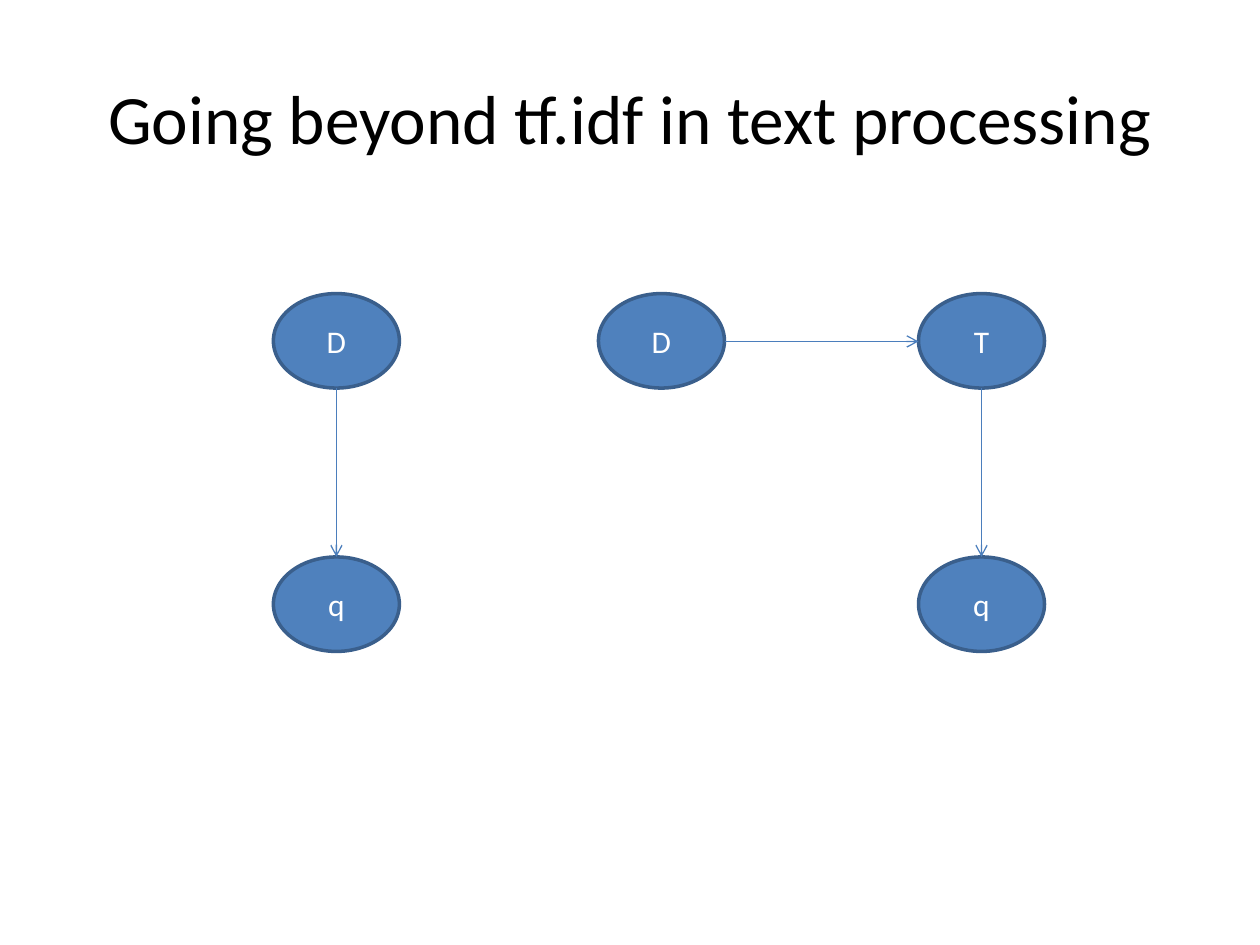
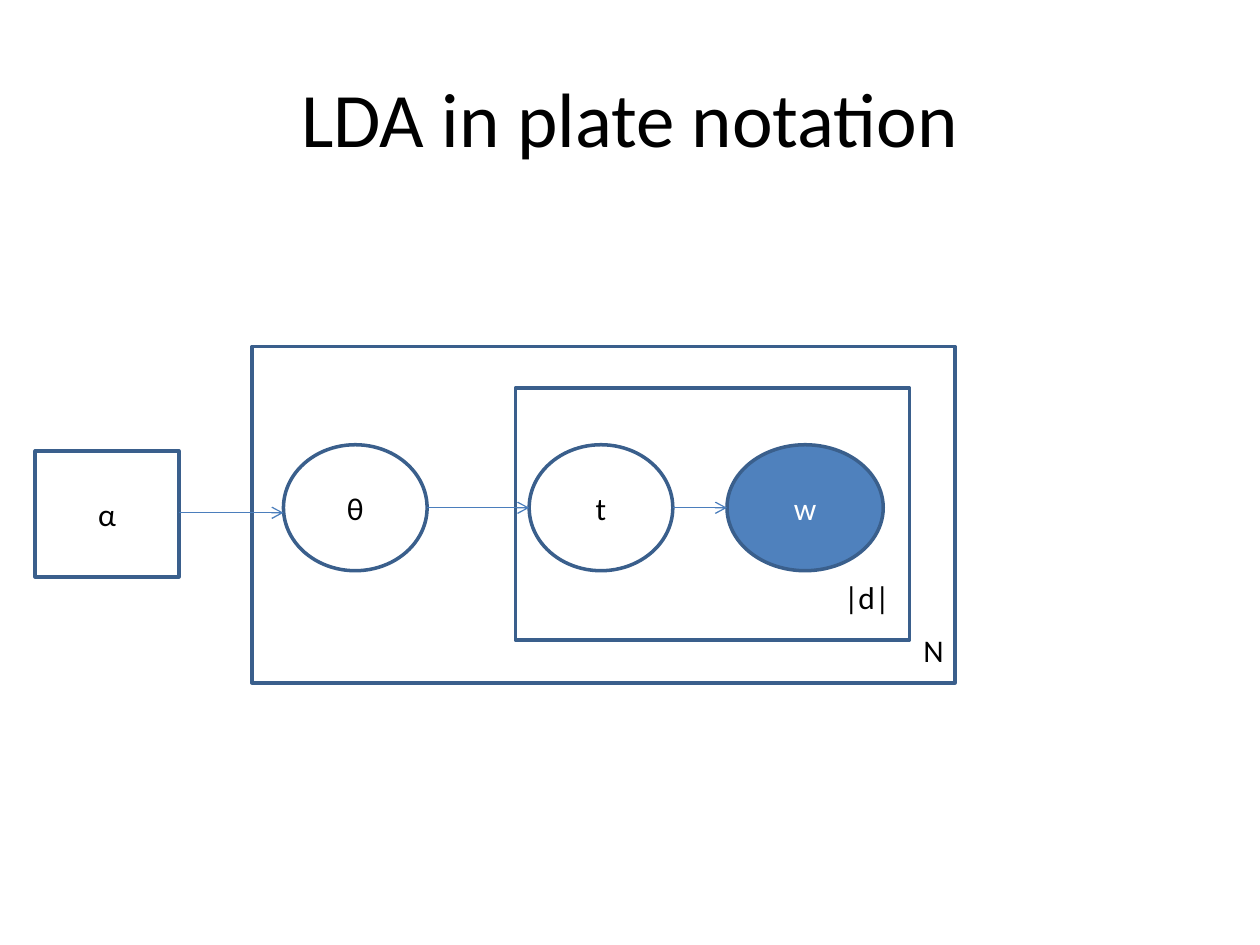
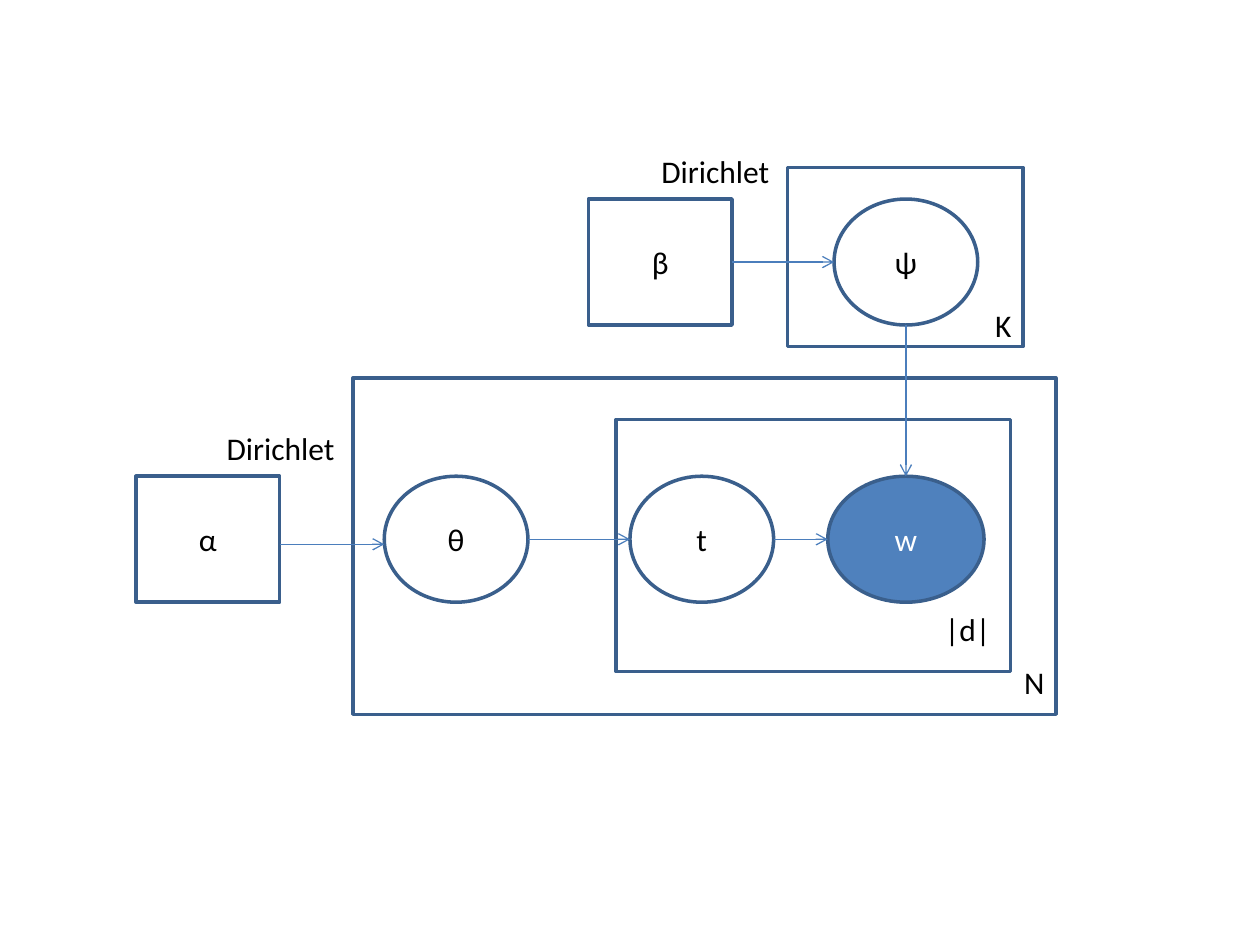
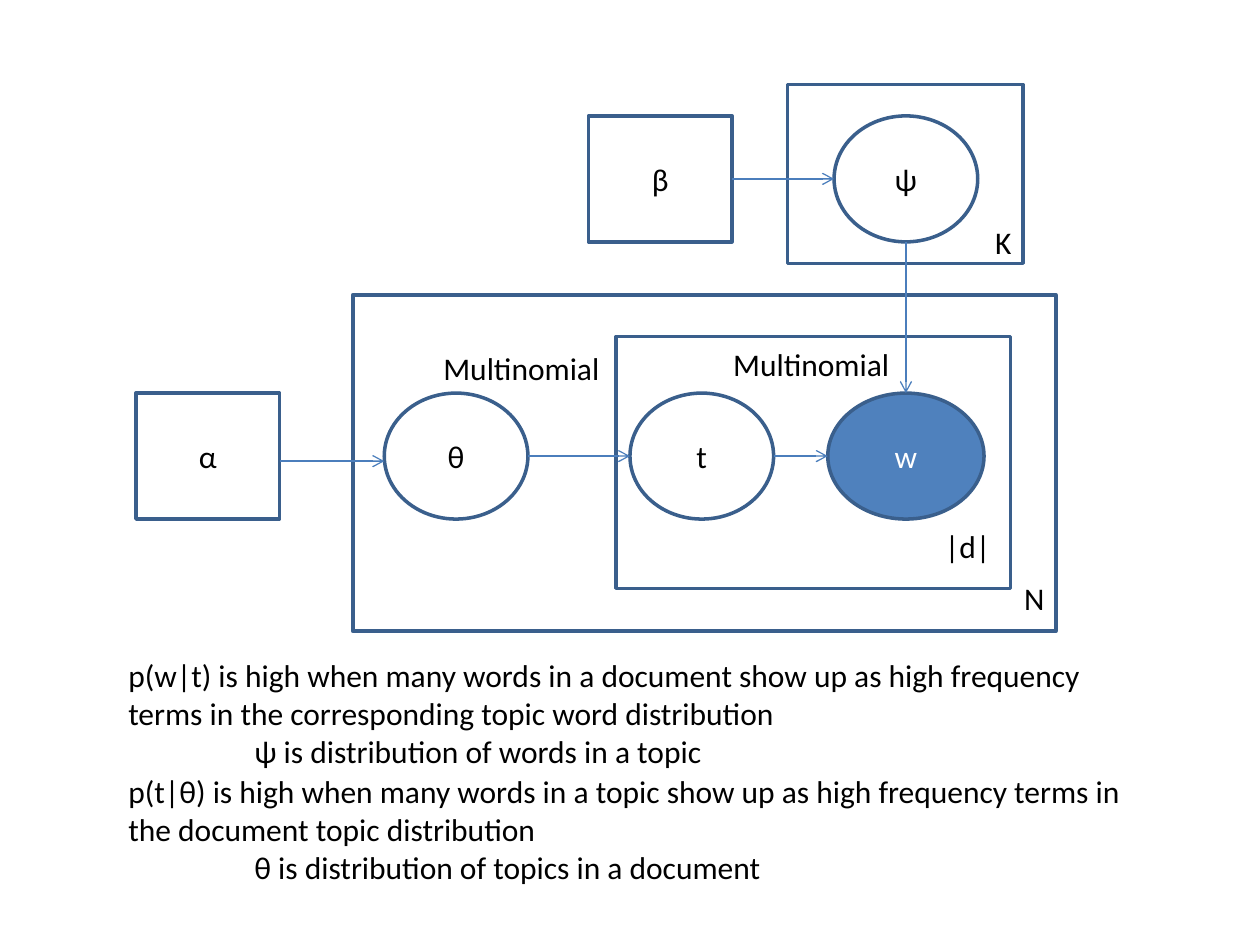
from lxml.etree import SubElement
from pptx import Presentation
from pptx.dml.color import RGBColor
from pptx.enum.shapes import MSO_CONNECTOR as Link, MSO_SHAPE as Shape
from pptx.enum.text import MSO_ANCHOR as Anchor, MSO_AUTO_SIZE as Fit, PP_ALIGN as Align
from pptx.oxml.ns import qn
from pptx.util import Inches, Pt

FONT = "Calibri"
BLUE, EDGE, ARROW = "4F81BD", "3A5F8C", "4B7EBC"
WHITE, BLACK = "FFFFFF", "000000"
TITLE_ONLY, BLANK = 5, 6
NODE_W, NODE_H = 1.14, 1


def color(code):
    return RGBColor.from_string(code)


def write(frame, *lines, size=18, ink=BLACK, align=Align.LEFT, anchor=Anchor.TOP, indents=()):
    """Fill a text frame, one paragraph a line; indents are left margins in inches."""
    frame.word_wrap = True
    frame.vertical_anchor = anchor
    for i, line in enumerate(lines):
        para = frame.paragraphs[0] if i == 0 else frame.add_paragraph()
        para.alignment = align
        run = para.add_run()
        run.text = line
        run.font.name, run.font.size = FONT, Pt(size)
        run.font.color.rgb = color(ink)
    for para, indent in zip(frame.paragraphs, indents):
        para._p.get_or_add_pPr().set("marL", str(Inches(indent)))


def node(shapes, kind, x, y, w, h, text="", fill=WHITE, ink=BLACK):
    shape = shapes.add_shape(kind, Inches(x), Inches(y), Inches(w), Inches(h))
    shape.shadow.inherit = False
    shape.fill.solid()
    shape.fill.fore_color.rgb = color(fill)
    shape.line.color.rgb = color(EDGE)
    shape.line.width = Pt(2)
    if text:
        write(shape.text_frame, text, ink=ink, align=Align.CENTER, anchor=Anchor.MIDDLE)


def label(shapes, x, y, w, h, *lines, **style):
    box = shapes.add_textbox(Inches(x), Inches(y), Inches(w), Inches(h))
    write(box.text_frame, *lines, **style)
    box.text_frame.auto_size = Fit.SHAPE_TO_FIT_TEXT


def arrow(shapes, x1, y1, x2, y2):
    line = shapes.add_connector(Link.STRAIGHT, Inches(x1), Inches(y1), Inches(x2), Inches(y2))
    line.line.color.rgb = color(ARROW)
    line.line.width = Pt(0.75)
    SubElement(line.line._get_or_add_ln(), qn("a:tailEnd"), type="arrow")
    SubElement(line._element.spPr, qn("a:effectLst"))


def add_slide(deck, title=None, size=44):
    layout = deck.slide_layouts[TITLE_ONLY if title else BLANK]
    slide = deck.slides.add_slide(layout)
    if title:
        head = slide.shapes.title
        head.left, head.top = Inches(0.5), Inches(0.3)
        head.width, head.height = Inches(9), Inches(1.25)
        write(head.text_frame, title, size=size, align=Align.CENTER, anchor=Anchor.MIDDLE)
    return slide.shapes


def dot(shapes, x, y, text):
    node(shapes, Shape.OVAL, x, y, 1, 0.75, text, fill=BLUE, ink=WHITE)


def chain(shapes, x, y, top):
    """Draw a top node with an arrow down to the query node."""
    gap = 2.09
    dot(shapes, x, y, top)
    dot(shapes, x, y + gap, "q")
    arrow(shapes, x + 0.5, y + 0.75, x + 0.5, y + gap)


def doc_plate(shapes, x, y, drop=0.78):
    """Draw the document plate at x, y; drop is the top of the alpha box below y."""
    node(shapes, Shape.RECTANGLE, x, y, 5.58, 2.67)
    node(shapes, Shape.RECTANGLE, x + 2.09, y + 0.33, 3.13, 2)
    node(shapes, Shape.RECTANGLE, x - 1.72, y + drop, NODE_W, NODE_H, "α")
    for left, name in ((0.25, "θ"), (2.2, "t")):
        node(shapes, Shape.OVAL, x + left, y + 0.78, NODE_W, NODE_H, name)
    node(shapes, Shape.OVAL, x + 3.77, y + 0.78, 1.24, NODE_H, "w", fill=BLUE, ink=WHITE)
    for start, end, mid in ((-0.58, 0.25, 1.32), (1.39, 2.2, 1.28), (3.34, 3.77, 1.28)):
        arrow(shapes, x + start, y + mid, x + end, y + mid)
    label(shapes, x + 5.23, y + 2.21, 0.36, 0.54, "N")
    label(shapes, x + 4.6, y + 1.79, 0.72, 0.54, "|d|")


def topic_plate(shapes, x, y):
    node(shapes, Shape.RECTANGLE, x, y, 1.87, 1.42)
    node(shapes, Shape.RECTANGLE, x - 1.58, y + 0.25, NODE_W, NODE_H, "β")
    node(shapes, Shape.OVAL, x + 0.37, y + 0.25, NODE_W, NODE_H, "ψ")
    arrow(shapes, x - 0.44, y + 0.75, x + 0.37, y + 0.75)
    arrow(shapes, x + 0.94, y + 1.25, x + 0.94, y + 2.45)
    label(shapes, x + 1.55, y + 1.05, 0.36, 0.4, "K")


def model(shapes, y):
    """Draw both plates, the topic plate starting at y."""
    doc_plate(shapes, 2.8, y + 1.67)
    topic_plate(shapes, 6.25, y)


def beyond_slide(deck):
    shapes = add_slide(deck, "Going beyond tf.idf in text processing", size=39.6)
    y = 2.33
    chain(shapes, 2.17, y, "D")
    group = shapes.add_group_shape().shapes
    chain(group, 7.29, y, "T")
    dot(group, 4.75, y, "D")
    arrow(group, 5.75, y + 0.38, 7.29, y + 0.38)


def plate_slide(deck):
    doc_plate(add_slide(deck, "LDA in plate notation"), 2, 2.75, drop=0.83)


def prior_slide(deck):
    """Name each prior above its box, clear of the plate to the right."""
    shapes = add_slide(deck)
    model(shapes, 1.33)
    for x, y in ((1.7, 3.36), (5.15, 1.16)):
        label(shapes, x, y, 1.08, 0.4, "Dirichlet")


def draw_slide(deck):
    """Name each draw beside its arrow, clear of borders and nodes."""
    shapes = add_slide(deck)
    model(shapes, 0.67)
    for x, y in ((3.42, 2.72), (5.72, 2.69)):
        label(shapes, x, y, 1.45, 0.4, "Multinomial")
    notes = (
        (5.16, 8.17,
         "p(w|t) is high when many words in a document show up as high frequency "
         "terms in the corresponding topic word distribution",
         "ψ is distribution of words in a topic"),
        (6.08, 8.42,
         "p(t|θ) is high when many words in a topic show up as high frequency "
         "terms in the document topic distribution",
         "θ is distribution of topics in a document"),
    )
    for y, w, claim, detail in notes:
        label(shapes, 0.92, y, w, 1.01, claim, detail, indents=(0, 1))


def main():
    deck = Presentation()
    deck.slide_width, deck.slide_height = Inches(10), Inches(7.5)
    for build in (beyond_slide, plate_slide, prior_slide, draw_slide):
        build(deck)
    deck.save("out.pptx")


if __name__ == "__main__":
    main()
